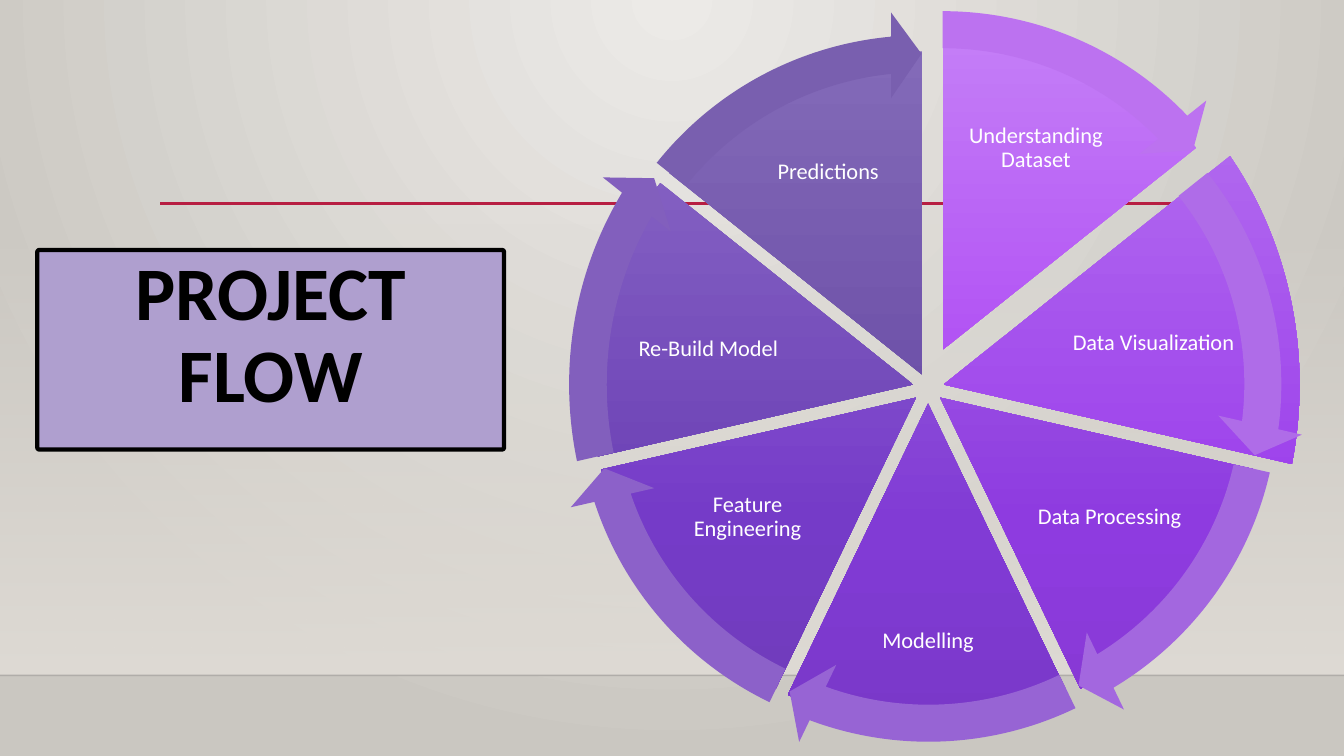
from dataclasses import dataclass

from lxml import etree
from pptx import Presentation
from pptx.dml.color import RGBColor
from pptx.enum.shapes import MSO_CONNECTOR, MSO_SHAPE
from pptx.enum.text import MSO_ANCHOR, PP_ALIGN
from pptx.oxml import parse_xml
from pptx.oxml.ns import nsdecls, qn
from pptx.util import Inches, Pt

Box = tuple[float, float, float, float]
Stop = tuple[int, str, int]


@dataclass(frozen=True)
class Theme:
    font: str = "Calibri"
    title_size: int = 54
    label_size: int = 16
    title_fill: str = "AF9FCF"
    ink: str = "000000"
    label: str = "FFFFFF"
    accent: str = "B71E42"
    floor_line: str = "000001"
    wall: str = "DFDBD5"
    glow: str = "ECEAE7"
    edge: str = "CAC7C1"


@dataclass(frozen=True)
class Stage:
    name: str
    pie: Box
    label: Box
    arrow: Box
    shades: tuple[str, str, str]
    arrow_color: str
    align: PP_ALIGN = PP_ALIGN.CENTER


THEME = Theme()
FULL_TURN = 216
FIRST_ANGLE = 162
ARROW_SWEEP = 27.58
PIE = 6.41
RING = 7.2

STAGES = [
    Stage("Understanding Dataset", (6.15, 0.26, PIE, PIE), (9.51, 0.86, 1.53, 1.22),
          (5.75, -0.13, RING, RING), ("C57FF7", "AA41F3", "A13FE5"), "BC72F0"),
    Stage("Data Visualization", (5.83, 0, 7.06, 7.63), (10.62, 2.77, 1.93, 1.27),
          (5.75, 0.21, RING, RING), ("B878F0", "9B3DEB", "933CDD"), "AF6CE8", PP_ALIGN.LEFT),
    Stage("Data Processing", (6.12, 0.74, PIE, PIE), (10.24, 4.54, 1.53, 1.18),
          (5.72, 0.34, RING, RING), ("AC73E7", "8E3BE0", "8739D4"), "A367DF"),
    Stage("Modelling", (6, 0.8, PIE, PIE), (8.46, 5.83, 1.49, 1.07),
          (5.61, 0.4, RING, RING), ("A06FDD", "813BD5", "7A38C9"), "9764D4"),
    Stage("Feature Engineering", (5.88, 0.74, PIE, PIE), (6.65, 4.54, 1.53, 1.18),
          (5.49, 0.34, RING, RING), ("956CD2", "753BC8", "703DB9"), "8C61C9"),
    Stage("Re-Build Model", (5.85, 0.61, PIE, PIE), (6.15, 2.93, 1.75, 1.07),
          (5.4, 0, 7.31, 7.63), ("8B6AC6", "6C41B6", "6843A7"), "825FBD"),
    Stage("Predictions", (5.94, 0.51, PIE, PIE), (7.45, 1.1, 1.53, 1.22),
          (5.54, 0.11, RING, RING), ("836AB8", "6648A3", "60459A"), "795FAF"),
]

DOWNWARD = '<a:lin ang="5400000" scaled="0"/>'
SPOTLIGHT = '<a:path path="circle"><a:fillToRect l="43000" t="0" r="43000" b="100000"/></a:path>'


def set_gradient(properties, stops: list[Stop], direction: str) -> None:
    stop_xml = "".join(
        f'<a:gs pos="{position * 1000}"><a:srgbClr val="{color}">'
        f'<a:alpha val="{opacity * 1000}"/></a:srgbClr></a:gs>'
        for position, color, opacity in stops
    )
    gradient = parse_xml(
        f'<a:gradFill {nsdecls("a")} rotWithShape="1"><a:gsLst>{stop_xml}</a:gsLst>{direction}</a:gradFill>'
    )
    properties.replace(properties.find(qn("a:noFill")), gradient)


def add_preset(slide, preset: MSO_SHAPE, box: Box, adjustments: list[float]):
    shape = slide.shapes.add_shape(preset, *map(Inches, box))
    shape.shadow.inherit = False
    shape.line.fill.background()
    for index, value in enumerate(adjustments):
        shape.adjustments[index] = value
    return shape


def add_gradient_shape(slide, preset: MSO_SHAPE, box: Box, adjustments: list[float], stops: list[Stop]) -> None:
    shape = add_preset(slide, preset, box, adjustments)
    shape.fill.background()
    set_gradient(shape._element.spPr, stops, DOWNWARD)


def add_solid_shape(slide, preset: MSO_SHAPE, box: Box, adjustments: list[float], color: str):
    shape = add_preset(slide, preset, box, adjustments)
    shape.fill.solid()
    shape.fill.fore_color.rgb = RGBColor.from_string(color)
    return shape


def add_rule(slide, left: float, right: float, top: float, color: str, width: float, opacity: int = 100) -> None:
    line = slide.shapes.add_connector(
        MSO_CONNECTOR.STRAIGHT, Inches(left), Inches(top), Inches(right), Inches(top)
    )
    line.line.color.rgb = RGBColor.from_string(color)
    line.line.width = Pt(width)
    properties = line._element.spPr
    for color_element in properties.iter(qn("a:srgbClr")):
        etree.SubElement(color_element, qn("a:alpha")).set("val", str(opacity * 1000))
    etree.SubElement(properties, qn("a:effectLst"))


def write_text(shape, text: str, size: int, color: str, align: PP_ALIGN, bold: bool = False) -> None:
    text_frame = shape.text_frame
    text_frame.word_wrap = True
    text_frame.text = text
    paragraph = text_frame.paragraphs[0]
    paragraph.alignment = align
    paragraph.line_spacing = 0.9
    font = paragraph.runs[0].font
    font.name = THEME.font
    font.size = Pt(size)
    font.bold = bold
    font.color.rgb = RGBColor.from_string(color)


def add_label(slide, stage: Stage) -> None:
    label = slide.shapes.add_textbox(*map(Inches, stage.label))
    text_frame = label.text_frame
    text_frame.vertical_anchor = MSO_ANCHOR.MIDDLE
    text_frame.margin_left = text_frame.margin_right = Inches(0.02)
    text_frame.margin_top = text_frame.margin_bottom = Inches(0.02)
    write_text(label, stage.name, THEME.label_size, THEME.label, stage.align)


def add_backdrop(slide) -> None:
    slide.background.fill.background()
    properties = next(slide._element.iter(qn("p:bgPr")))
    set_gradient(properties, [(0, THEME.glow, 100), (100, THEME.edge, 100)], SPOTLIGHT)
    add_gradient_shape(slide, MSO_SHAPE.RECTANGLE, (0, 2.21, 13.33, 4.49), [],
                       [(0, THEME.wall, 0), (100, THEME.wall, 100)])
    add_rule(slide, 0, 13.33, 6.7, THEME.floor_line, 1, 20)
    add_rule(slide, 1.59, 12.1, 2.02, THEME.accent, 2.5)


def add_title(slide) -> None:
    title = add_solid_shape(slide, MSO_SHAPE.ROUNDED_RECTANGLE, (0.37, 2.48, 4.63, 1.98), [0.01], THEME.title_fill)
    title.line.color.rgb = RGBColor.from_string(THEME.ink)
    title.line.width = Pt(3)
    title.text_frame.vertical_anchor = MSO_ANCHOR.TOP
    write_text(title, "PROJECT FLOW", THEME.title_size, THEME.ink, PP_ALIGN.CENTER, bold=True)


def add_cycle(slide) -> None:
    step = FULL_TURN / len(STAGES)
    starts = [(FIRST_ANGLE + step * index) % FULL_TURN for index in range(len(STAGES))]
    for stage, start in zip(STAGES, starts):
        stops = [(position, color, 100) for position, color in zip((0, 69, 100), stage.shades)]
        add_gradient_shape(slide, MSO_SHAPE.PIE, stage.pie, [start, (start + step) % FULL_TURN], stops)
        add_label(slide, stage)
    for stage, start in zip(STAGES, starts):
        tip = (start + ARROW_SWEEP) % FULL_TURN
        add_solid_shape(slide, MSO_SHAPE.CIRCULAR_ARROW, stage.arrow,
                        [0.051, 3.275, tip, start, 0.059], stage.arrow_color)


def main() -> None:
    presentation = Presentation()
    presentation.slide_width = Inches(13.33)
    presentation.slide_height = Inches(7.5)
    slide = presentation.slides.add_slide(presentation.slide_layouts[6])
    add_backdrop(slide)
    add_title(slide)
    add_cycle(slide)
    presentation.save("out.pptx")


if __name__ == "__main__":
    main()
